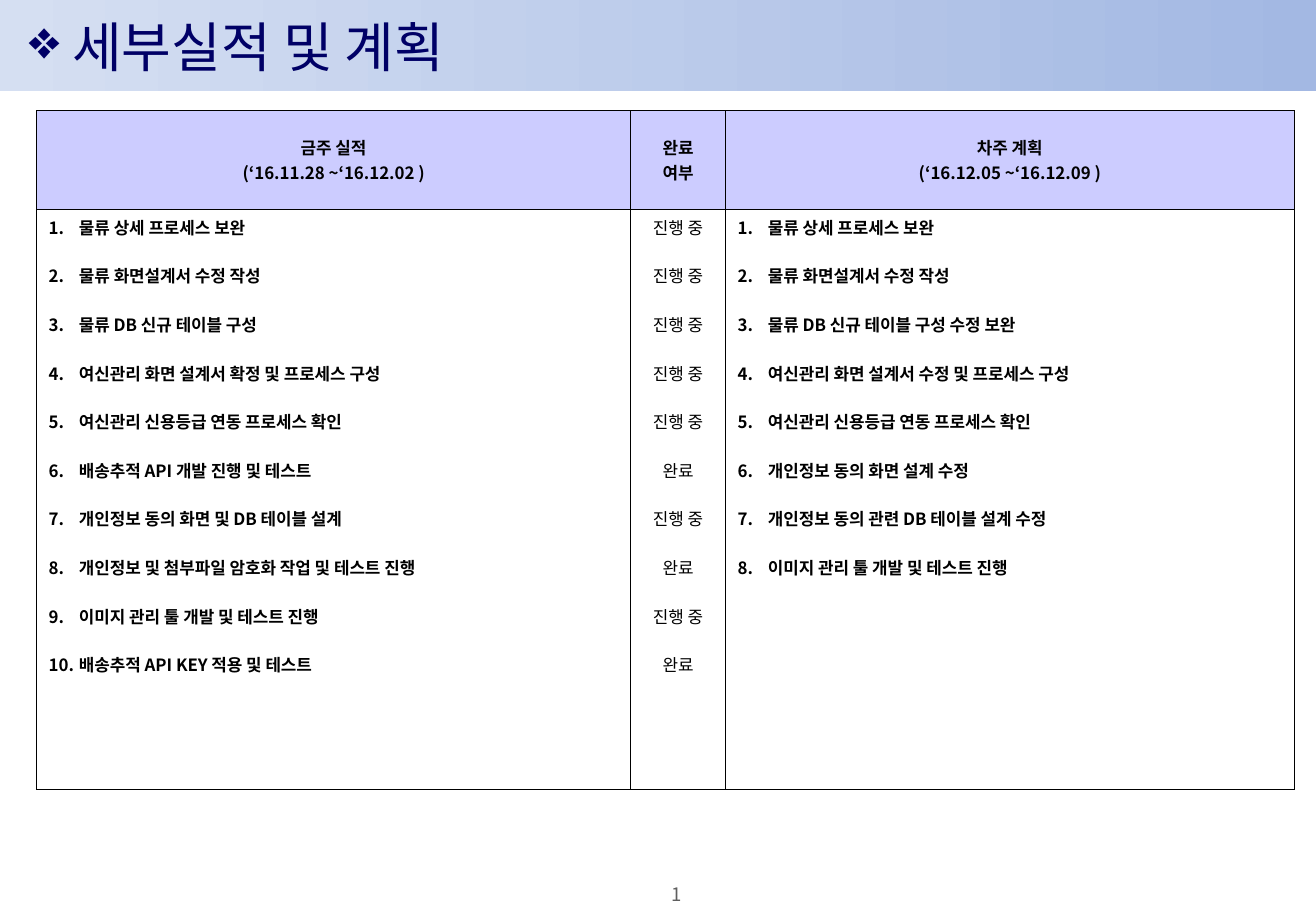
from dataclasses import dataclass
from typing import NamedTuple

from lxml import etree
from pptx import Presentation
from pptx import util as u
from pptx.dml.color import RGBColor
from pptx.enum import shapes, text
from pptx.oxml.ns import qn

PX = u.Inches(1) // 100  # one px is a hundredth of an inch


def px(length: int) -> u.Emu:
    return u.Emu(length * PX)


@dataclass(frozen=True)
class Theme:
    font: str = "Noto Sans CJK KR"
    band_start: str = "D5DFF2"
    band_end: str = "A3B8E3"
    title: str = "000066"
    ink: str = "000000"
    header: str = "CCCCFF"
    page: str = "5F5F5F"
    title_size: int = 32
    page_size: int = 11
    table_size: int = 10
    item_gap: float = 14.4
    border: float = 0.5


class Box(NamedTuple):
    left: int
    top: int
    width: int
    height: int

    def emu(self) -> list[u.Emu]:
        return [px(side) for side in self]


class Column(NamedTuple):
    heading: tuple[str, str]
    width: int
    items: list[str]
    hanging: int
    numbered: bool


THEME = Theme()
SLIDE = Box(0, 0, 1083, 750)
TITLE_HEIGHT = 75
HEADER_HEIGHT, BODY_HEIGHT = 81, 478
CENTER = text.PP_ALIGN.CENTER
MIDDLE = text.MSO_ANCHOR.MIDDLE

DONE, ONGOING = "완료", "진행 중"
COLUMNS = [
    Column(("금주 실적", "(‘16.11.28 ~‘16.12.02 )"), 489, [
        "물류 상세 프로세스 보완",
        "물류 화면설계서 수정 작성",
        "물류 DB 신규 테이블 구성",
        "여신관리 화면 설계서 확정 및 프로세스 구성",
        "여신관리 신용등급 연동 프로세스 확인",
        "배송추적 API 개발 진행 및 테스트",
        "개인정보 동의 화면 및 DB 테이블 설계",
        "개인정보 및 첨부파일 암호화 작업 및 테스트 진행",
        "이미지 관리 툴 개발 및 테스트 진행",
        "배송추적 API KEY 적용 및 테스트",
    ], 25, True),
    Column(("완료", "여부"), 78,
           [ONGOING] * 5 + [DONE, ONGOING, DONE, ONGOING, DONE], 10, False),
    Column(("차주 계획", "(‘16.12.05 ~‘16.12.09 )"), 468, [
        "물류 상세 프로세스 보완",
        "물류 화면설계서 수정 작성",
        "물류 DB 신규 테이블 구성 수정 보완",
        "여신관리 화면 설계서 수정 및 프로세스 구성",
        "여신관리 신용등급 연동 프로세스 확인",
        "개인정보 동의 화면 설계 수정",
        "개인정보 동의 관련 DB 테이블 설계 수정",
        "이미지 관리 툴 개발 및 테스트 진행",
    ], 25, True),
]
TABLE = Box(30, 91, sum(column.width for column in COLUMNS),
            HEADER_HEIGHT + BODY_HEIGHT)


def add_run(paragraph, words: str, size: int, color: str, bold: bool = False) -> None:
    run = paragraph.add_run()
    run.text = words
    run.font.size = u.Pt(size)
    run.font.bold = bold
    run.font.color.rgb = RGBColor.from_string(color)
    run.font.name = THEME.font
    etree.SubElement(run.font._element, qn("a:ea"), typeface=THEME.font)


def add_bullet(paragraph, tag: str, **attributes: str) -> None:
    etree.SubElement(paragraph._p.get_or_add_pPr(), qn(tag), **attributes)


def next_paragraph(frame, index: int):
    return frame.add_paragraph() if index else frame.paragraphs[0]


def add_title_band(slide) -> None:
    band = slide.shapes.add_shape(
        shapes.MSO_SHAPE.RECTANGLE, *Box(0, 0, SLIDE.width, TITLE_HEIGHT).emu())
    band.shadow.inherit = False
    band.line.fill.background()
    band.fill.gradient()
    band.fill.gradient_angle = 0
    ends = (THEME.band_start, THEME.band_end)
    for position, (stop, color) in enumerate(zip(band.fill.gradient_stops, ends)):
        stop.position = position
        stop.color.rgb = RGBColor.from_string(color)


def add_text_frame(slide, box: Box):
    frame = slide.shapes.add_textbox(*box.emu()).text_frame
    frame.word_wrap = True
    frame.vertical_anchor = MIDDLE
    return frame


def add_title(slide) -> None:
    frame = add_text_frame(slide, Box(14, 0, 708, TITLE_HEIGHT))
    add_bullet(frame.paragraphs[0], "a:buChar", char="❖")
    add_run(frame.paragraphs[0], " 세부실적 및 계획", THEME.title_size, THEME.title)


def add_page_number(slide) -> None:
    frame = add_text_frame(slide, Box(510, 727, 94, 18))
    frame.margin_left = frame.margin_right = 0
    frame.margin_top = frame.margin_bottom = 0
    frame.paragraphs[0].alignment = CENTER
    add_run(frame.paragraphs[0], "1", THEME.page_size, THEME.page)


def draw_borders(cell) -> None:
    properties = cell._tc.get_or_add_tcPr()
    for side in ("a:lnL", "a:lnR", "a:lnT", "a:lnB"):
        line = etree.SubElement(properties, qn(side), w=str(u.Pt(THEME.border)))
        fill = etree.SubElement(line, qn("a:solidFill"))
        etree.SubElement(fill, qn("a:srgbClr"), val=THEME.ink)


def fill_heading(cell, column: Column) -> None:
    draw_borders(cell)
    cell.fill.solid()
    cell.fill.fore_color.rgb = RGBColor.from_string(THEME.header)
    cell.vertical_anchor = MIDDLE
    for index, words in enumerate(column.heading):
        paragraph = next_paragraph(cell.text_frame, index)
        paragraph.alignment = CENTER
        add_run(paragraph, words, THEME.table_size, THEME.ink, bold=True)


def fill_items(cell, column: Column) -> None:
    draw_borders(cell)
    cell.fill.background()
    for index, words in enumerate(column.items):
        paragraph = next_paragraph(cell.text_frame, index)
        properties = paragraph._p.get_or_add_pPr()
        properties.set("marL", str(px(column.hanging)))
        properties.set("indent", str(px(-column.hanging)))
        if column.numbered:
            add_bullet(paragraph, "a:buAutoNum", type="arabicPeriod")
        else:
            paragraph.alignment = CENTER
        if index:
            paragraph.space_before = u.Pt(THEME.item_gap)
        add_run(paragraph, words, THEME.table_size, THEME.ink, bold=column.numbered)


def add_report_table(slide) -> None:
    table = slide.shapes.add_table(2, len(COLUMNS), *TABLE.emu()).table
    table.first_row = table.horz_banding = False
    for row, height in zip(table.rows, (HEADER_HEIGHT, BODY_HEIGHT)):
        row.height = px(height)
    for index, column in enumerate(COLUMNS):
        table.columns[index].width = px(column.width)
        fill_heading(table.cell(0, index), column)
        fill_items(table.cell(1, index), column)


def main() -> None:
    deck = Presentation()
    deck.slide_width, deck.slide_height = px(SLIDE.width), px(SLIDE.height)
    slide = deck.slides.add_slide(deck.slide_layouts[6])
    add_title_band(slide)
    add_page_number(slide)
    add_title(slide)
    add_report_table(slide)
    deck.save("out.pptx")


if __name__ == "__main__":
    main()
